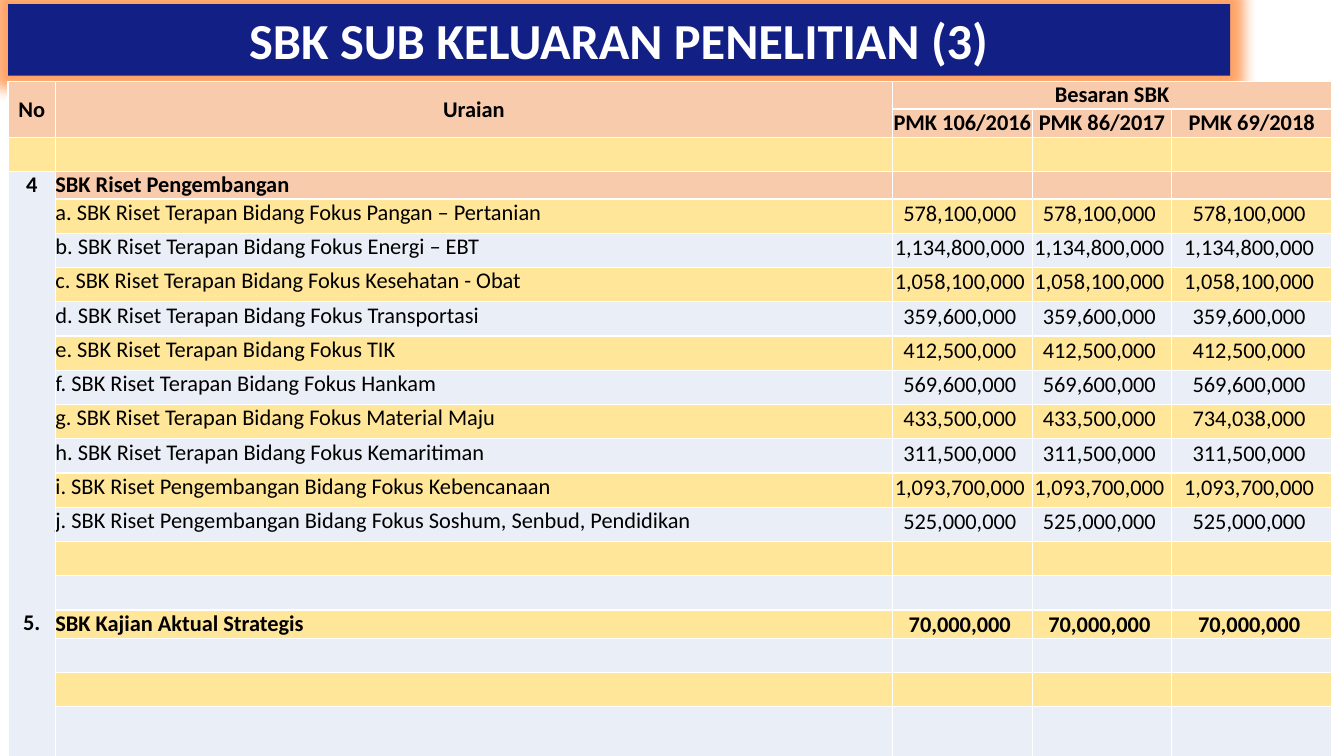
from lxml import etree
from pptx import Presentation
from pptx.dml.color import RGBColor
from pptx.enum.text import MSO_ANCHOR, PP_ALIGN
from pptx.oxml.ns import qn
from pptx.util import Inches, Pt

CENTER, LEFT = PP_ALIGN.CENTER, PP_ALIGN.LEFT
MIDDLE, TOP = MSO_ANCHOR.MIDDLE, MSO_ANCHOR.TOP

TITLE = "SBK SUB KELUARAN PENELITIAN (3)"
HEADINGS = ("No", "Uraian", "Besaran SBK")
REGULATIONS = ("PMK 106/2016", "PMK 86/2017", "PMK 69/2018")
NUMBERS = ("4", "5.")
GROUP = "SBK Riset Pengembangan"
ITEMS = [
    ("a. SBK Riset Terapan Bidang Fokus Pangan – Pertanian", 578100000),
    ("b. SBK Riset Terapan Bidang Fokus Energi – EBT", 1134800000),
    ("c. SBK Riset Terapan Bidang Fokus Kesehatan - Obat", 1058100000),
    ("d. SBK Riset Terapan Bidang Fokus Transportasi", 359600000),
    ("e. SBK Riset Terapan Bidang Fokus TIK", 412500000),
    ("f. SBK Riset Terapan Bidang Fokus Hankam", 569600000),
    ("g. SBK Riset Terapan Bidang Fokus Material Maju", 433500000, 433500000, 734038000),
    ("h. SBK Riset Terapan Bidang Fokus Kemaritiman", 311500000),
    ("i. SBK Riset Pengembangan Bidang Fokus Kebencanaan", 1093700000),
    ("j. SBK Riset Pengembangan Bidang Fokus Soshum, Senbud, Pendidikan", 525000000),
]
STRATEGIC = ("SBK Kajian Aktual Strategis", 70000000)

THEME = {
    "font": "Calibri", "title_size": 36, "body_size": 16,
    "navy": "122086", "glow": "FF6600", "white": "FFFFFF", "black": "000000",
    "peach": "F8CBAD", "yellow": "FFE699", "pale": "EAEFF7",
}
COLS = (0.47, 8.3, 1.39, 1.38, 1.59)
ROW, SHORT_ROW, LAST_ROW = 0.34, 0.26, 0.52
ROW_COUNT, GROUP_ROW, STRATEGIC_ROW = 20, 3, 16
ROW_HEIGHTS = {0: SHORT_ROW, 1: 0.28, GROUP_ROW: SHORT_ROW,
               STRATEGIC_ROW: SHORT_ROW, ROW_COUNT - 1: LAST_ROW}
NUMBER_GAP = 293


def rgb(name):
    return RGBColor.from_string(THEME[name])


def apply(target, values):
    for name, value in values.items():
        setattr(target, name, value)


def fill(target, color):
    target.fill.solid()
    target.fill.fore_color.rgb = rgb(color)


def write(p, text, size, color, bold=True, align=CENTER):
    p.alignment = align
    r = p.add_run()
    r.text = text
    apply(r.font, {"name": THEME["font"], "size": Pt(size), "bold": bold})
    r.font.color.rgb = rgb(color)


def add_color(parent, color, alpha=None):
    node = etree.SubElement(parent, qn("a:srgbClr"), val=THEME[color])
    if alpha:
        etree.SubElement(node, qn("a:alpha"), val=str(alpha * 1000))


def add_title(s):
    sp = s.shapes.title
    apply(sp, {"left": Inches(0.08), "top": Inches(0.04),
               "width": Inches(12.12), "height": Inches(0.71)})
    fill(sp, "navy")
    sp.line.fill.background()
    effects = etree.SubElement(sp._element.spPr, qn("a:effectLst"))
    glow = etree.SubElement(effects, qn("a:glow"), rad=str(Inches(0.25)))
    add_color(glow, "glow", 60)
    tf = sp.text_frame
    apply(tf, {"word_wrap": True, "vertical_anchor": MIDDLE,
               "margin_top": 0, "margin_bottom": 0})
    tf.paragraphs[0].line_spacing = 1.0
    write(tf.paragraphs[0], TITLE, THEME["title_size"], "white")


def style_cell(cell, color):
    apply(cell, {f"margin_{side}": 0 for side in ("left", "right", "top", "bottom")})
    tcPr = cell._tc.get_or_add_tcPr()
    for side in ("lnL", "lnR", "lnT", "lnB"):
        ln = etree.SubElement(tcPr, qn(f"a:{side}"), w=str(Pt(1)))
        add_color(etree.SubElement(ln, qn("a:solidFill")), "white")
    fill(cell, color)
    etree.SubElement(cell.text_frame.paragraphs[0]._p, qn("a:endParaRPr"),
                     sz=str(THEME["body_size"] * 100))


def row_color(row, col):
    if row < 2 or (row == GROUP_ROW and col > 0):
        return "peach"
    if row > 2 and col == 0:
        return "pale"
    return "yellow" if row % 2 == 0 else "pale"


def put(cell, text, bold=True, align=CENTER, anchor=TOP):
    cell.vertical_anchor = anchor
    write(cell.text_frame.paragraphs[0], text, THEME["body_size"], "black", bold, align)


def put_item(tbl, row, item, bold):
    label, *amounts = item
    if len(amounts) == 1:
        amounts *= len(REGULATIONS)
    put(tbl.cell(row, 1), label, bold, LEFT)
    for col, amount in enumerate(amounts, 2):
        cell = tbl.cell(row, col)
        apply(cell, {f"margin_{side}": Inches(0.01) for side in ("left", "right", "top")})
        put(cell, f"{amount:,} ", bold)


def add_budget_table(s):
    heights = [ROW_HEIGHTS.get(i, ROW) for i in range(ROW_COUNT)]
    tbl = s.shapes.add_table(ROW_COUNT, len(COLS), Inches(0.08), Inches(0.81),
                             Inches(sum(COLS)), Inches(sum(heights))).table
    for column, width in zip(tbl.columns, COLS):
        column.width = Inches(width)
    for i, height in enumerate(heights):
        tbl.rows[i].height = Inches(height)
        for j in range(len(COLS)):
            style_cell(tbl.cell(i, j), row_color(i, j))
    for start, end in (((0, 0), (1, 0)), ((0, 1), (1, 1)), ((0, 2), (0, 4)),
                       ((GROUP_ROW, 0), (ROW_COUNT - 1, 0))):
        tbl.cell(*start).merge(tbl.cell(*end))

    for col, text in enumerate(HEADINGS):
        put(tbl.cell(0, col), text, anchor=MIDDLE if col < 2 else TOP)
    for col, text in enumerate(REGULATIONS, 2):
        put(tbl.cell(1, col), text)
    number = tbl.cell(GROUP_ROW, 0)
    put(number, NUMBERS[0])
    p = number.text_frame.add_paragraph()
    p.space_before = Pt(NUMBER_GAP)
    write(p, NUMBERS[1], THEME["body_size"], "black")
    put(tbl.cell(GROUP_ROW, 1), GROUP, align=LEFT)
    for row, item in enumerate(ITEMS, GROUP_ROW + 1):
        put_item(tbl, row, item, False)
    put_item(tbl, STRATEGIC_ROW, STRATEGIC, True)


def main():
    prs = Presentation()
    prs.slide_width, prs.slide_height = Inches(13.33), Inches(7.5)
    s = prs.slides.add_slide(prs.slide_layouts[5])
    add_title(s)
    add_budget_table(s)
    prs.save("out.pptx")


if __name__ == "__main__":
    main()
